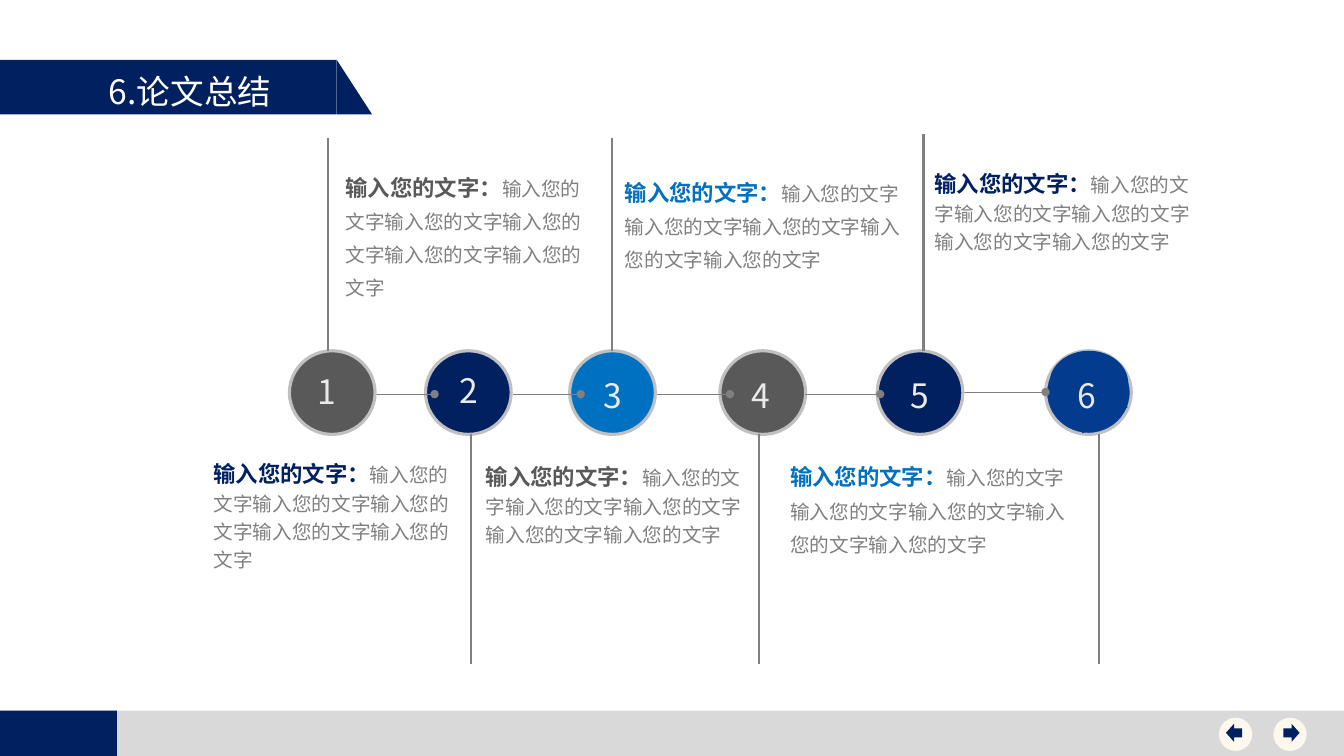
import math
from lxml import etree
from pptx import Presentation, util as u
from pptx.dml.color import RGBColor
from pptx.enum import shapes, text
from pptx.oxml import ns

NAVY, BLUE, DARK, GRAY, ROYAL = "002060", "0070C0", "595959", "808080", "033C8F"
FONT = "Noto Sans CJK SC"
HEAD = "输入您的文字："
BODY = "输入您的文字" * 5

deck = Presentation()
deck.slide_width, deck.slide_height = u.Inches(13.33), u.Inches(7.5)
COL = deck.slide_width / 133.3   # grid of 133.3 columns
ROW = deck.slide_height / 75     # and 75 rows
slide = deck.slides.add_slide(deck.slide_layouts[5])
kinds = shapes.MSO_SHAPE
tree = slide.shapes


def hue(fill, code):
    """Give a fill one solid colour from a hex string."""
    fill.solid()
    fill.fore_color.rgb = RGBColor.from_string(code)


def put(kind, x, y, w, h, code):
    """Add a flat shape without outline at grid columns and rows."""
    form = tree.add_shape(kind, *map(round, (x * COL, y * ROW, w * COL, h * ROW)))
    form.shadow.inherit = False
    form.line.fill.background()
    hue(form.fill, code)
    return form


# Footer, title band and page buttons
put(kinds.RECTANGLE, 0, 70.5, 133.3, 4.5, "D9D9D9")
put(kinds.RECTANGLE, 0, 70.5, 11.6, 4.5, NAVY)
put(kinds.RECTANGLE, 0, 5.95, 33.4, 5.4, NAVY)
tip = put(kinds.RIGHT_TRIANGLE, 33.4, 5.95, 3.5, 5.4, NAVY)
for arrow, disc, x in ((kinds.RIGHT_ARROW, 126.3, 127.3), (kinds.LEFT_ARROW, 120.9, 121.6)):
    put(kinds.OVAL, disc, 71.2, 3.3, 3.3, "FCF8ED")
    put(arrow, x, 71.8, 1.6, 1.8, NAVY)

title = tree.title
tip.element.addnext(title.element)
place = {"left": 9.8 * COL, "top": 6.5 * ROW, "width": 23 * COL, "height": 5 * ROW}
for key, value in place.items():
    setattr(title, key, round(value))
title.text_frame.text = "6.论文总结"
for key, value in {"auto_size": text.MSO_AUTO_SIZE.NONE, "word_wrap": True,
                   "vertical_anchor": text.MSO_ANCHOR.MIDDLE}.items():
    setattr(title.text_frame, key, value)
line = title.text_frame.paragraphs[0]
line.alignment = text.PP_ALIGN.LEFT
line.font.size = u.Pt(24)
hue(line.runs[0].font.fill, "FFFFFF")

# Steps: number, colour, circle left, digit centre and top, stem column and far row,
# link (from, to, row), text left, top, width, height, text colour, line spacing
steps = (
    ("2", NAVY, 42.2, 46.45, 36.3, 46.7, 65.9, (43.1, 36.4, 39.1), (20.2, 44.6, 26.6, 18.9), NAVY, 1.2),
    ("3", BLUE, 56.5, 60.8, 36.8, 60.7, 13.7, (57.6, 50.9, 39.1), (61, 16.2, 29.5, 11.4), BLUE, 1.4),
    ("4", DARK, 71.4, 75.5, 36.8, 75.25, 65.9, (72.4, 65.2, 39.1), (47.2, 44.9, 28.7, 9.9), DARK, 1.2),
    ("6", ROYAL, 103.7, 107.8, 36.8, 109, 65.9, (103.7, 95.5, 38.9), (77.4, 44.4, 30.1, 11.4), BLUE, 1.4),
    ("5", NAVY, 87, 91.2, 36.8, 91.6, 13.3, (87.3, 79.8, 39.1), (91.7, 15.9, 28.3, 9.9), NAVY, 1.2),
    ("1", DARK, 28.7, 32.45, 36.4, 32.5, 13.7, None, (33.3, 15.7, 25.4, 14.7), DARK, 1.4),
)
for num, code, left, mid, top, stem, far, link, area, ink, gap in steps:
    disc = put(kinds.OVAL, left, 34.8, 8.5, 8.3, code)
    disc.line.width = u.Pt(2.25)
    hue(disc.line.fill, "C0C0C0")

    if num == "6":
        # Half ellipses: centre, half width, height, tilt
        for cx, cy, a, b, tilt in ((108, 38, 3.9, 3.2, 0), (109.6, 41.7, 2.6, 1.3, 30)):
            cos, sin = math.cos(math.radians(tilt)), math.sin(math.radians(tilt))
            arc = []
            for step in range(37):
                turn = math.radians(step * 5)
                p, q = a * math.cos(turn), b * math.sin(turn)
                arc.append(((cx + p * cos - q * sin) * COL, (cy - p * sin - q * cos) * ROW))
            path = tree.build_freeform(*map(round, arc[0]))
            path.add_line_segments(arc[1:], close=True)
            half = path.convert_to_shape()
            half.shadow.inherit = False
            half.line.fill.background()
            hue(half.fill, ROYAL)

    near = 43.1 if far > 40 else 34.8
    ends = [(stem, far, stem, near, 1.5)]
    if link:
        ends.append((link[0], link[2], link[1], link[2], 0.75))
    for x1, y1, x2, y2, size in ends:
        rod = tree.add_connector(shapes.MSO_CONNECTOR.STRAIGHT,
                                 *map(round, (x1 * COL, y1 * ROW, x2 * COL, y2 * ROW)))
        rod.line.width = u.Pt(size)
        hue(rod.line.fill, GRAY)
        if size < 1:
            etree.SubElement(rod.line._get_or_add_ln(), ns.qn("a:headEnd"), type="oval")
        etree.SubElement(rod.element.spPr, ns.qn("a:effectLst"))

    label = (mid - 2.1, top, 4.2, 4.7)
    for spot, parts in ((label, ((num, 24, "EAEAEA", False),)),
                        (area, ((HEAD, 16, ink, True), (BODY, 14, GRAY, False)))):
        x, y, w, h = spot
        box = tree.add_textbox(*map(round, (x * COL, y * ROW, w * COL, h * ROW)))
        frame = box.text_frame
        line = frame.paragraphs[0]
        if spot is label:
            look = {"word_wrap": False, "vertical_anchor": text.MSO_ANCHOR.MIDDLE,
                    "margin_top": 0, "margin_bottom": 0}
            line.alignment = text.PP_ALIGN.CENTER
        else:
            look = {"word_wrap": True, "auto_size": text.MSO_AUTO_SIZE.SHAPE_TO_FIT_TEXT}
            line.line_spacing = gap
            if gap == 1.2:
                line.space_before = line.space_after = u.Pt(12)
        for key, value in look.items():
            setattr(frame, key, value)
        for words, size, shade, bold in parts:
            run = line.add_run()
            run.text = words
            for key, value in {"size": u.Pt(size), "bold": bold}.items():
                setattr(run.font, key, value)
            hue(run.font.fill, shade)

# One typeface for Latin and East Asian characters
for form in tree:
    if form.has_text_frame:
        for line in form.text_frame.paragraphs:
            for run in line.runs:
                run.font.name = FONT
                etree.SubElement(run.font._element, ns.qn("a:ea"), typeface=FONT)

deck.save("out.pptx")
